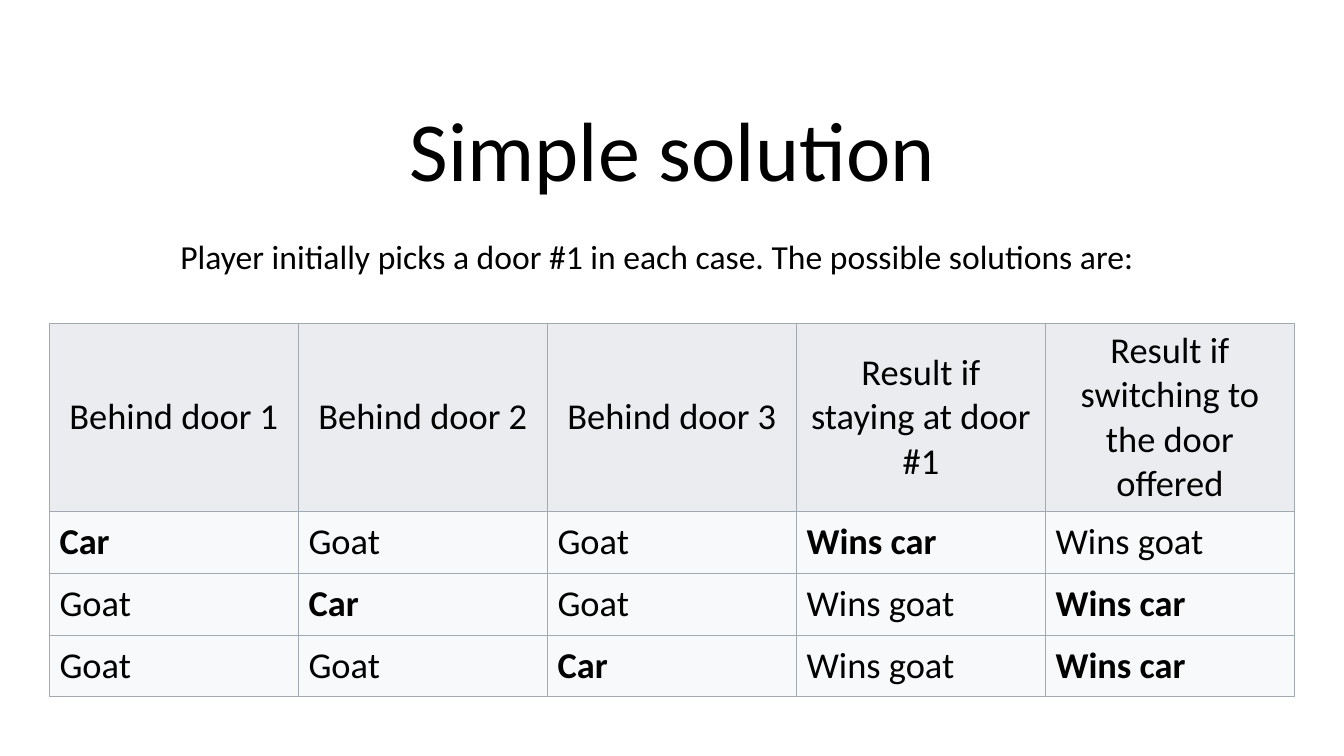
from dataclasses import dataclass

from lxml import etree
from pptx import Presentation
from pptx.dml.color import RGBColor
from pptx.enum.text import MSO_ANCHOR, MSO_AUTO_SIZE, PP_ALIGN
from pptx.oxml.ns import qn
from pptx.util import Inches, Pt

LEFT, CENTER = PP_ALIGN.LEFT, PP_ALIGN.CENTER
TOP, MIDDLE, BOTTOM = MSO_ANCHOR.TOP, MSO_ANCHOR.MIDDLE, MSO_ANCHOR.BOTTOM
NO_FIT, GROW = MSO_AUTO_SIZE.NONE, MSO_AUTO_SIZE.SHAPE_TO_FIT_TEXT
TITLE_ONLY = 5
BORDER_SIDES = ("a:lnL", "a:lnR", "a:lnT", "a:lnB")


@dataclass(frozen=True)
class Theme:
    """Colours, type sizes and font of the slide."""

    font: str = "Calibri"
    ink: str = "000000"
    header_fill: str = "EAECF0"
    body_fill: str = "F8F9FA"
    border: str = "A2A9B1"
    border_pt: float = 0.5
    title_pt: int = 60
    intro_pt: int = 24
    cell_pt: int = 26


def set_all(target, values):
    """Set every attribute named in a dict of format values."""
    for name, value in values.items():
        setattr(target, name, value)


class SlideBuilder:
    """Adds styled elements to one slide, placed in percent of its size."""

    def __init__(self, deck, theme):
        """Open a title-only slide in the deck."""
        self.deck = deck
        self.theme = theme
        self.slide = deck.slides.add_slide(deck.slide_layouts[TITLE_ONLY])

    def across(self, percent):
        """Turn percent of the slide width into a length."""
        return round(self.deck.slide_width * percent / 100)

    def down(self, percent):
        """Turn percent of the slide height into a length."""
        return round(self.deck.slide_height * percent / 100)

    def box(self, left, top, width, height):
        """Turn percents into left, top, width and height."""
        return self.across(left), self.down(top), self.across(width), self.down(height)

    def add_wording(self, frame, wording, size, align=LEFT, bold=False, spacing=1.0):
        """Put one styled paragraph into a text frame."""
        paragraph = frame.paragraphs[0]
        set_all(paragraph, {"alignment": align, "line_spacing": spacing})
        run = paragraph.add_run()
        run.text = wording
        set_all(run.font, {"name": self.theme.font, "size": Pt(size), "bold": bold})
        run.font.color.rgb = RGBColor.from_string(self.theme.ink)

    def title(self, wording, *place):
        """Move, format and fill the title placeholder."""
        heading = self.slide.shapes.title
        set_all(heading, dict(zip(("left", "top", "width", "height"), self.box(*place))))
        set_all(heading.text_frame, {
            "auto_size": NO_FIT, "word_wrap": True, "vertical_anchor": BOTTOM,
        })
        self.add_wording(heading.text_frame, wording, self.theme.title_pt, CENTER, spacing=0.9)

    def intro(self, wording, *place):
        """Add a single unwrapped line of text."""
        frame = self.slide.shapes.add_textbox(*self.box(*place)).text_frame
        set_all(frame, {"word_wrap": False, "auto_size": GROW, "vertical_anchor": TOP})
        self.add_wording(frame, wording, self.theme.intro_pt)

    def outline(self, cell):
        """Draw a thin border on all four sides of a cell."""
        properties = cell._tc.get_or_add_tcPr()
        for side in BORDER_SIDES:
            line = etree.SubElement(properties, qn(side), w=str(Pt(self.theme.border_pt)))
            paint = etree.SubElement(line, qn("a:solidFill"))
            etree.SubElement(paint, qn("a:srgbClr"), val=self.theme.border)

    def table(self, header, outcomes, left, top, width, header_height, row_height):
        """Add a table of equal columns, with every car in bold."""
        rows = [header, *outcomes]
        heights = [header_height] + [row_height] * len(outcomes)
        place = self.box(left, top, width, sum(heights))
        grid = self.slide.shapes.add_table(len(rows), len(header), *place).table
        set_all(grid, {"first_row": False, "horz_banding": False})
        for index, (wordings, height) in enumerate(zip(rows, heights)):
            is_header = index == 0
            fill = self.theme.header_fill if is_header else self.theme.body_fill
            grid.rows[index].height = self.down(height)
            for cell, wording in zip(grid.rows[index].cells, wordings):
                self.outline(cell)
                cell.fill.solid()
                cell.fill.fore_color.rgb = RGBColor.from_string(fill)
                cell.vertical_anchor = MIDDLE
                self.add_wording(cell.text_frame, wording, self.theme.cell_pt,
                                 CENTER if is_header else LEFT, "car" in wording.lower())


def main():
    """Build the slide and save it."""
    deck = Presentation()
    set_all(deck, {"slide_width": Inches(13.33), "slide_height": Inches(7.5)})
    solution = SlideBuilder(deck, Theme())
    solution.title("Simple solution", 6.9, 7.73, 86.25, 19.33)
    header = [f"Behind door {door}" for door in (1, 2, 3)] + [
        "Result if staying at door #1",
        "Result if switching to the door offered",
    ]
    outcomes = [
        ("Car", "Goat", "Goat", "Wins car", "Wins goat"),
        ("Goat", "Car", "Goat", "Wins goat", "Wins car"),
        ("Goat", "Goat", "Car", "Wins goat", "Wins car"),
    ]
    solution.table(header, outcomes, 3.68, 42.75, 92.65, 24.9, 8.17)
    solution.intro(
        "Player initially picks a door #1 in each case. The possible solutions are:",
        12.68, 30.53, 74.42, 6.67,
    )
    deck.save("out.pptx")


if __name__ == "__main__":
    main()
